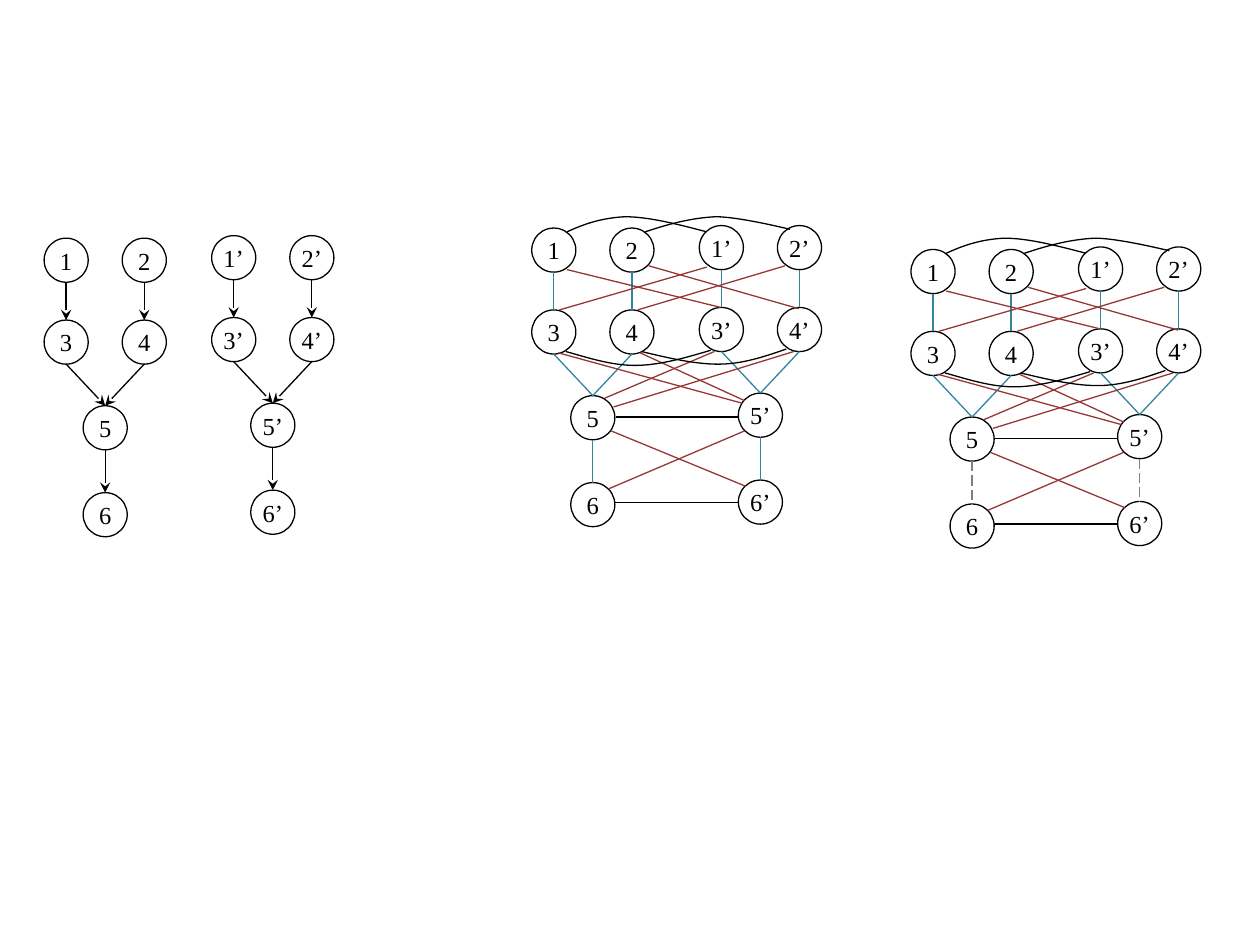
from lxml.etree import SubElement
from pptx import Presentation
from pptx.dml.color import RGBColor
from pptx.enum.dml import MSO_LINE_DASH_STYLE as Dash
from pptx.enum.shapes import MSO_CONNECTOR as Connector, MSO_SHAPE as Shape
from pptx.enum.text import MSO_ANCHOR as Anchor, PP_ALIGN as Align
from pptx.oxml.ns import qn
from pptx.util import Inches, Pt

BLACK = RGBColor(0x00, 0x00, 0x00)
TEAL = RGBColor(0x31, 0x85, 0x9C)
RED = RGBColor(0x95, 0x37, 0x35)
GRAY = RGBColor(0x80, 0x80, 0x80)

NODE_SIZE = 0.35
PRIME_OFFSET = (1.33, -0.02)
ELLIPSE_BOTTOM = "4"

NODES = {
    "1": (0, 0),
    "2": (0.62, 0),
    "3": (0, 0.65),
    "4": (0.62, 0.65),
    "5": (0.31, 1.33),
    "6": (0.31, 2.02),
}
EDGES = ["13", "24", "35", "45", "56"]

LEVEL_LINES = [((0.67, 1.5), (1.64, 1.5)), ((0.66, 2.18), (1.64, 2.18))]
CROSS_LINES = [
    ((0.28, 0.33), (1.5, 0.63)),
    ((0.22, 0.65), (1.39, 0.31)),
    ((0.93, 0.3), (2.12, 0.64)),
    ((0.84, 0.65), (2.01, 0.3)),
    ((0.21, 0.99), (1.67, 1.39)),
    ((0.86, 0.99), (1.69, 1.37)),
    ((1.45, 0.98), (0.58, 1.35)),
    ((2.08, 0.98), (0.65, 1.42)),
    ((0.63, 1.61), (1.7, 2.05)),
    ((1.69, 1.61), (0.61, 2.07)),
]
CURVES = [
    [(0.28, 0.03), (0.41, -0.03), (0.55, -0.08), (0.74, -0.09),
     (0.93, -0.09), (1.16, -0.03), (1.39, 0.03)],
    [(0.9, 0.03), (1.08, -0.03), (1.26, -0.08), (1.46, -0.09),
     (1.65, -0.09), (2.05, 0.01), (2.05, 0.01)],
    [(0.27, 0.98), (0.45, 1.03), (0.63, 1.09), (0.82, 1.09),
     (1.01, 1.09), (1.22, 1.03), (1.42, 0.97)],
    [(0.87, 0.98), (1.08, 1.03), (1.29, 1.08), (1.48, 1.08),
     (1.67, 1.08), (1.85, 1.02), (2.02, 0.96)],
]


def place(origin, point):
    return Inches(origin[0] + point[0]), Inches(origin[1] + point[1])


def style_line(line, color):
    line.color.rgb = color
    line.width = Pt(0.75)


def write_text(shape, text, size=14, font="Times New Roman", color=BLACK):
    frame = shape.text_frame
    frame.word_wrap = False
    frame.vertical_anchor = Anchor.MIDDLE
    paragraph = frame.paragraphs[0]
    paragraph.alignment = Align.CENTER
    run = paragraph.add_run()
    run.text = text
    run.font.size = Pt(size)
    run.font.name = font
    run.font.color.rgb = color


def add_node(slide, origin, point, label):
    size = Inches(NODE_SIZE)
    node = slide.shapes.add_shape(Shape.OVAL, *place(origin, point), size, size)
    node.shadow.inherit = False
    node.fill.background()
    style_line(node.line, BLACK)
    write_text(node, label)
    return node


def add_line(slide, start, end, color):
    line = slide.shapes.add_connector(Connector.STRAIGHT, *start, *end)
    style_line(line.line, color)
    SubElement(line.element.spPr, qn("a:effectLst"))
    return line


def add_edge(slide, upper, lower, color, arrow=False, dashed=False):
    edge = add_line(slide, (0, 0), (0, 0), color)
    edge.begin_connect(upper, 2)
    edge.end_connect(lower, 0)
    edge.element.find(".//" + qn("a:stCxn")).set("idx", ELLIPSE_BOTTOM)
    if dashed:
        edge.line.dash_style = Dash.LONG_DASH
    if arrow:
        SubElement(edge.line._get_or_add_ln(), qn("a:tailEnd"), type="stealth")


def add_curve(slide, points):
    builder = slide.shapes.build_freeform(*points[0])
    builder.add_line_segments(points[1:], close=False)
    curve = builder.convert_to_shape()
    curve.shadow.inherit = False
    curve.fill.background()
    style_line(curve.line, BLACK)
    segments = list(curve.element.iter(qn("a:lnTo")))
    outline = segments[0].getparent()
    for first in range(0, len(segments), 3):
        bezier = SubElement(outline, qn("a:cubicBezTo"))
        for segment in segments[first:first + 3]:
            bezier.append(segment[0])
            outline.remove(segment)


def add_tree(slide, origin, prime, color, arrow=False, dashed_edges=()):
    nodes = {
        name: add_node(slide, origin, point, name + prime)
        for name, point in NODES.items()
    }
    for edge in EDGES:
        dashed = edge in dashed_edges
        add_edge(slide, nodes[edge[0]], nodes[edge[1]],
                 GRAY if dashed else color, arrow, dashed)


def add_tree_pair(slide, origin, color, **options):
    add_tree(slide, origin, "", color, **options)
    prime_origin = (origin[0] + PRIME_OFFSET[0], origin[1] + PRIME_OFFSET[1])
    add_tree(slide, prime_origin, "’", color, **options)


def add_conflicts(slide, origin):
    for lines, color in ((LEVEL_LINES, BLACK), (CROSS_LINES, RED)):
        for start, end in lines:
            add_line(slide, place(origin, start), place(origin, end), color)
    for points in CURVES:
        add_curve(slide, [place(origin, point) for point in points])


def main():
    presentation = Presentation()
    presentation.slide_width = Inches(10)
    presentation.slide_height = Inches(7.5)
    slide = presentation.slides.add_slide(presentation.slide_layouts[6])

    add_tree_pair(slide, (0.35, 1.89), BLACK, arrow=True)
    for origin, dashed_edges in (((4.22, 1.81), ()), ((7.23, 1.98), ("56",))):
        add_tree_pair(slide, origin, TEAL, dashed_edges=dashed_edges)
        add_conflicts(slide, origin)

    presentation.save("out.pptx")


if __name__ == "__main__":
    main()
